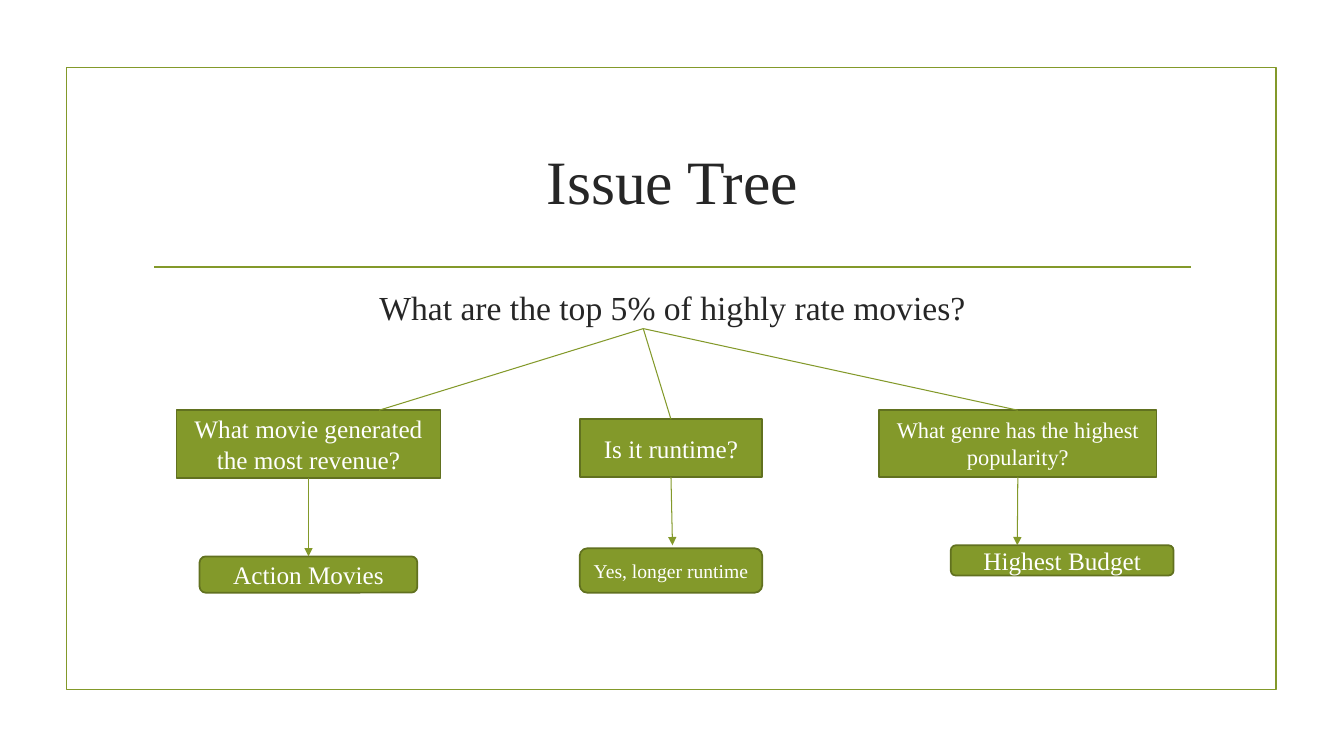
from lxml import etree
from pptx import Presentation, util as u
from pptx.dml.color import RGBColor
from pptx.enum import shapes, text
from pptx.oxml.ns import qn

GREEN = RGBColor(0x83, 0x99, 0x2A)
DARK_GREEN = RGBColor(0x61, 0x71, 0x1F)
INK = RGBColor(0x26, 0x26, 0x26)
WHITE = RGBColor(0xFF, 0xFF, 0xFF)
FONT = "Times New Roman"
RECT = shapes.MSO_SHAPE.RECTANGLE
ROUND = shapes.MSO_SHAPE.ROUNDED_RECTANGLE


def write(sp, words, size=18, color=WHITE):
    tf = sp.text_frame
    tf.word_wrap = True
    tf.vertical_anchor = text.MSO_ANCHOR.MIDDLE
    p = tf.paragraphs[0]
    p.alignment = text.PP_ALIGN.CENTER
    r = p.add_run()
    r.text = words
    r.font.name, r.font.size = FONT, u.Pt(size)
    r.font.color.rgb = color
    return p


def connect(start, end, width=0.75, source=None, target=None, arrow=False):
    ends = [u.Inches(v) for v in (*start, *end)]
    c = s.shapes.add_connector(shapes.MSO_CONNECTOR.STRAIGHT, *ends)
    if source is not None:
        c.begin_connect(source, 2)
    if target is not None:
        c.end_connect(target, 0)
    c.line.color.rgb, c.line.width = GREEN, u.Pt(width)
    if arrow:
        ln = c.line._get_or_add_ln()
        etree.SubElement(ln, qn("a:tailEnd"), type="triangle")
    etree.SubElement(c._element.spPr, qn("a:effectLst"))


prs = Presentation()
prs.slide_width, prs.slide_height = u.Inches(13.33), u.Inches(7.5)
s = prs.slides.add_slide(prs.slide_layouts[1])

# Frame and rule under the title
frame = s.shapes.add_shape(RECT, *map(u.Inches, (0.66, 0.67, 12, 6.17)))
frame.shadow.inherit = False
frame.fill.background()
frame.line.color.rgb, frame.line.width = GREEN, u.Pt(1.25)
connect((1.53, 2.65), (11.81, 2.65), width=1.25)

# Title and leading question
title, body = s.shapes.title, s.placeholders[1]
for sp, top, height in ((title, 1.07, 1.43), (body, 2.8, 3.63)):
    sp.left, sp.top = u.Inches(1.42), u.Inches(top)
    sp.width, sp.height = u.Inches(10.5), u.Inches(height)
write(title, "Issue Tree", size=44, color=INK)
p = write(body, "What are the top 5% of highly rate movies?", size=24, color=INK)
body.text_frame.vertical_anchor = text.MSO_ANCHOR.TOP
p.space_after = u.Pt(6)
pPr = p._p.get_or_add_pPr()
pPr.set("marL", "0")
pPr.set("indent", "0")
etree.SubElement(pPr, qn("a:buNone"))

# Branches: (words, size, box) of question and answer,
# then the free ends of the branch line and arrow (None: joined to the box)
branches = [
    (("What movie generated the most revenue?", 18, (1.75, 4.07, 2.62, 0.67)),
     ("Action Movies", 18, (1.98, 5.52, 2.16, 0.36)), (3.76, 4.07), None),
    (("Is it runtime?", 18, (5.75, 4.16, 1.81, 0.57)),
     ("Yes, longer runtime", 14, (5.75, 5.44, 1.81, 0.44)), None, (6.67, 5.41)),
    (("What genre has the highest popularity?", 16, (8.72, 4.07, 2.75, 0.66)),
     ("Highest Budget", 18, (9.43, 5.41, 2.21, 0.3)), None, (10.09, 5.41)),
]
root = (6.38, 3.26)
for question, answer, branch_end, arrow_end in branches:
    boxes = []
    for kind, (words, size, box) in ((RECT, question), (ROUND, answer)):
        sp = s.shapes.add_shape(kind, *map(u.Inches, box))
        sp.shadow.inherit = False
        sp.fill.solid()
        sp.fill.fore_color.rgb = GREEN
        sp.line.color.rgb, sp.line.width = DARK_GREEN, u.Pt(1.25)
        write(sp, words, size=size)
        boxes.append(sp)
    upper, lower = boxes
    connect(root, branch_end or root, target=None if branch_end else upper)
    connect(root, arrow_end or root, source=upper,
            target=None if arrow_end else lower, arrow=True)

prs.save("out.pptx")
